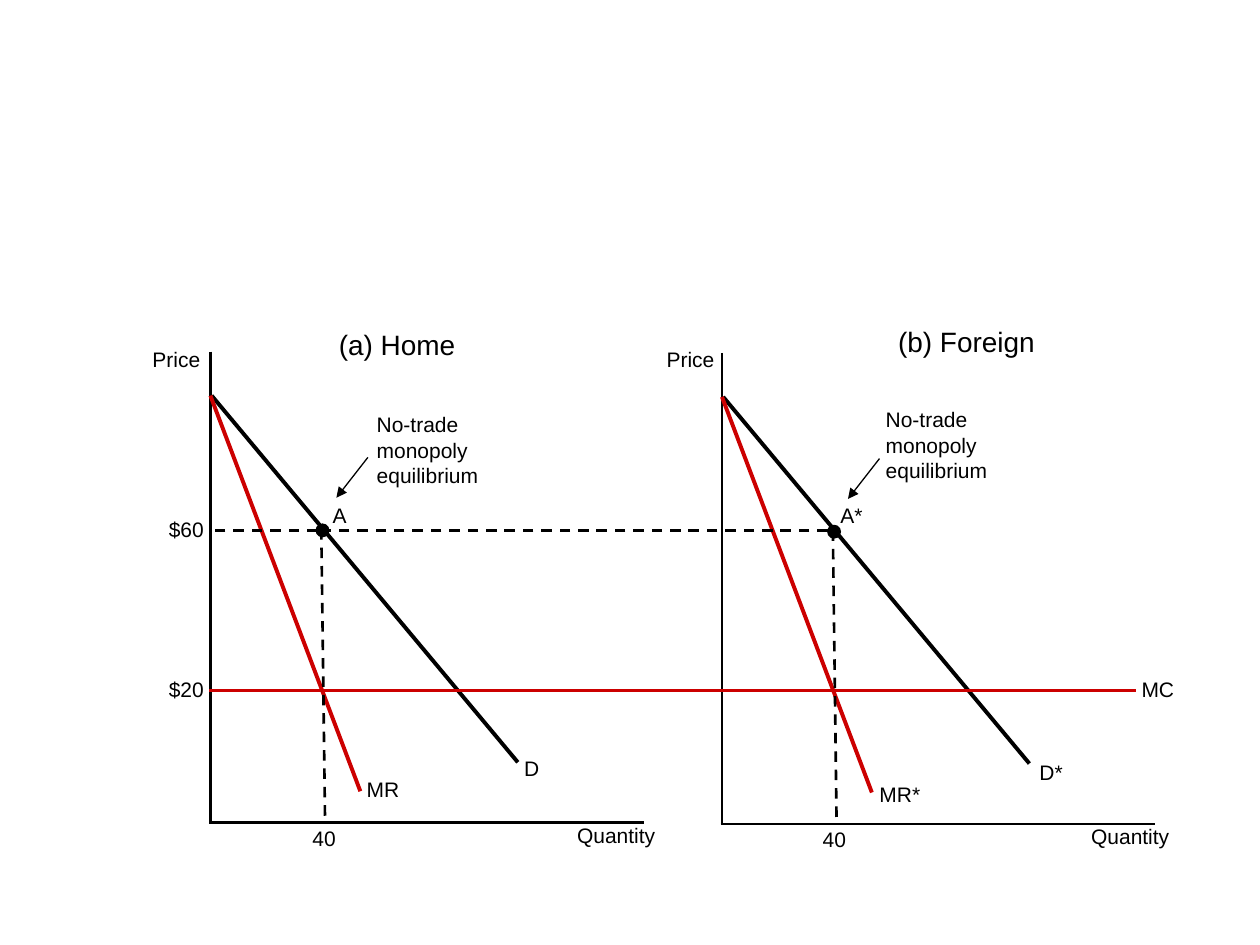
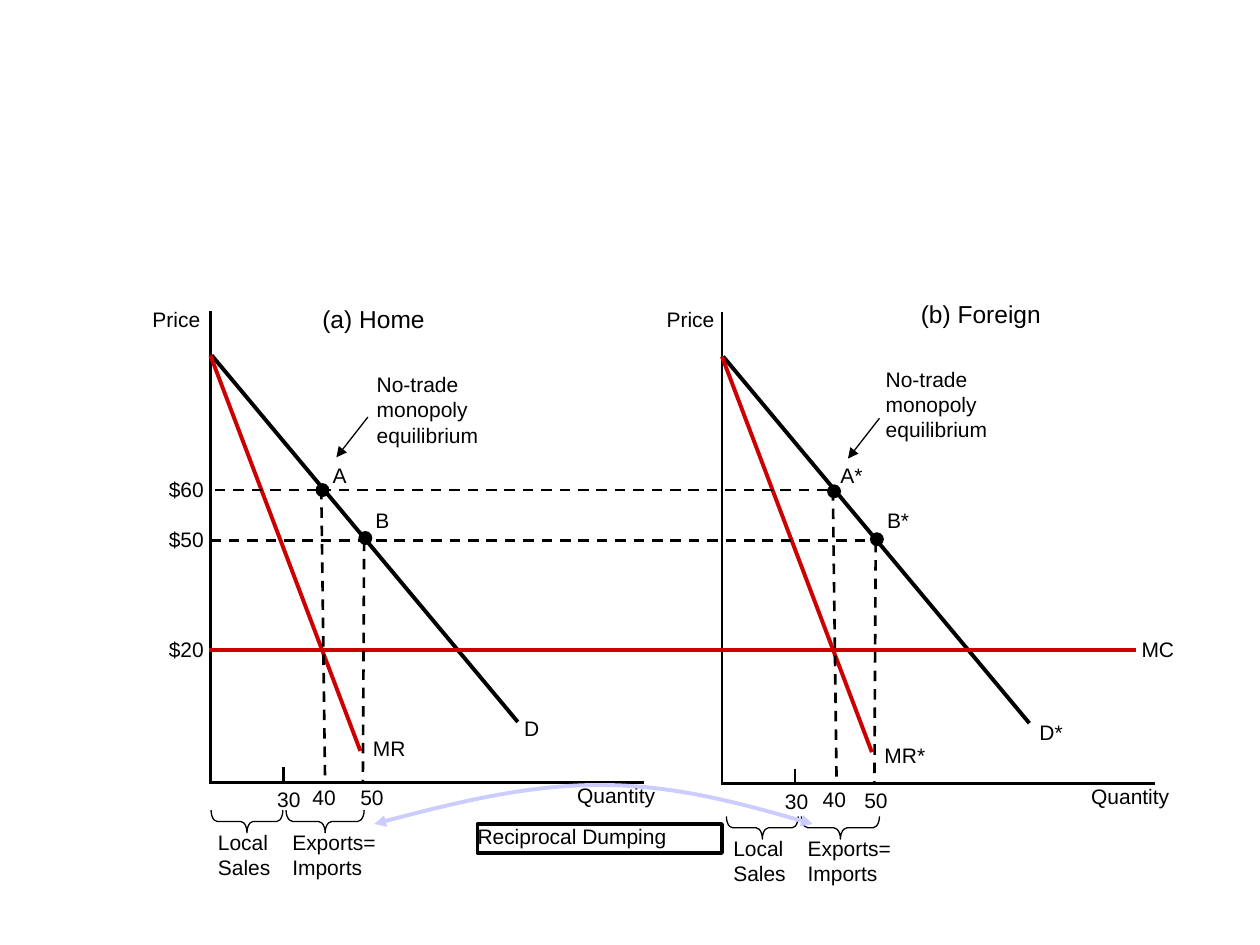
from lxml import etree
from pptx import Presentation, util as u
from pptx.dml.color import RGBColor
from pptx.enum import dml, shapes, text
from pptx.oxml.ns import qn

COLORS = {"ink": "000000", "cost": "CC0000", "link": "CCCCFF"}
FONT, LABEL_SIZE, LINE_HEIGHT = "Arial", 12, 0.2
THIN, AXIS, CURVE = 0.75, 1.5, 2.25
DOT = 0.1
AXIS_X = (1.67, 5.73)   # vertical axis of Home and Foreign
FOREIGN_DROP = 0.01     # Foreign's horizontal axis sits slightly lower

# Points are (right, down) in inches from the corner of a panel's axes.
CURVES = [
    # start, end, color, width
    ((0, -3.74), (0, 0), "ink", AXIS),
    ((-0.01, 0), (3.44, 0), "ink", AXIS),
    ((0.01, -3.39), (2.44, -0.48), "ink", CURVE),
    ((0, -3.39), (1.19, -0.25), "cost", CURVE),
]
# (wording, width, lines, Home place, Foreign wording, Foreign place)
LABELS = [
    ("Price", 0.49, 1, (-0.46, -3.78), "Price", (-0.44, -3.79)),
    ("Quantity", 0.75, 1, (2.91, 0), "Quantity", (2.93, 0)),
    ("D", 0.23, 1, (2.49, -0.53), "D*", (2.52, -0.51)),
    ("A", 0.2, 1, (0.97, -2.54), "A*", (0.94, -2.55)),
    ("40", 0.2, 1, (0.81, 0.02), "40", (0.8, 0.02)),
    ("No-trade monopoly equilibrium", 1.13, 3, (1.32, -3.26),
     "No-trade monopoly equilibrium", (1.3, -3.31)),
]
TRADE_LABELS = [
    ("30", 0.2, 1, (0.53, 0.03), "30", (0.5, 0.04)),
    ("50", 0.2, 1, (1.19, 0.02), "50", (1.13, 0.03)),
    ("B", 0.2, 1, (1.31, -2.18), "B*", (1.31, -2.19)),
]
POINT_A = {"dot": (0.89, -2.32), "drop": ((0.88, -2.33), (0.91, 0))}
POINT_B = {"dot": (1.23, -1.94), "drop": ((1.22, -1.92), (1.21, 0))}
POINTER = ((1.25, -2.9), (1, -2.58))
TICK_30 = ((0.58, -0.12), (0.58, -0.01))
# (caption, caption left, caption width, brace centre, brace span, bend)
BRACES = [
    ("Local Sales", 0.06, 0.5, (0.29, 0.31), 0.57, 0.27),
    ("Exports=Imports", 0.65, 0.67, (0.91, 0.31), 0.62, 0.29),
]
BRACE_DEPTH, CAPTION_TOP = 0.18, 0.37
FOREIGN_BRACE_SHIFT = (0.03, 0.04)

# (price, height from the axis, line stretches in slide coordinates)
PRICE_60 = ("$60", -2.32, [(2.52, 1.69), (6.57, 2.55)])
PRICE_50 = ("$50", -1.92, [(1.67, 6.95)])
MC_HEIGHT = -1.05

SLIDES = [
    {"base": 6.53, "title_size": 16, "trade": False,
     "titles": [("(a) Home", (0.92, -3.98)), ("(b) Foreign", (1.3, -4.01))],
     "mr": ("MR", 0.34, 1, (1.24, -0.37), "MR*", (1.25, -0.34))},
    {"base": 6.21, "title_size": 14, "trade": True,
     "titles": [("(a) Home", (0.79, -3.85)), ("(b) Foreign", (1.48, -3.9))],
     "mr": ("MR", 0.34, 1, (1.29, -0.37), "MR*", (1.29, -0.33))},
]
DUMPING = ("Reciprocal Dumping", 3.79, 6.54, 1.94, 0.23)
DUMPING_ARC = [(6.45, 6.54), (5.9, 6.38), (5.34, 6.23), (4.76, 6.23),
               (4.18, 6.23), (3.57, 6.38), (2.97, 6.54)]


def color(name):
    return RGBColor.from_string(COLORS[name])


def style_line(part, name, width, arrows=()):
    part.line.color.rgb = color(name)
    part.line.width = u.Pt(width)
    for end in arrows:
        etree.SubElement(part.line._get_or_add_ln(), qn(f"a:{end}"), type="triangle")


def draw_line(slide, start, end, name="ink", width=AXIS, dashed=False, arrows=()):
    line = slide.shapes.add_connector(
        shapes.MSO_CONNECTOR.STRAIGHT, *map(u.Inches, (*start, *end)))
    if dashed:
        line.line.dash_style = dml.MSO_LINE.DASH
    style_line(line, name, width, arrows)
    etree.SubElement(line._element.spPr, qn("a:effectLst"))


def draw_shape(slide, kind, left, top, width, height, line_width=THIN, filled=False):
    shape = slide.shapes.add_shape(kind, *map(u.Inches, (left, top, width, height)))
    shape.shadow.inherit = False
    if filled:
        shape.fill.solid()
        shape.fill.fore_color.rgb = color("ink")
    else:
        shape.fill.background()
    style_line(shape, "ink", line_width)
    return shape


def write(frame, wording, size=LABEL_SIZE, inset=False):
    frame.word_wrap = True
    frame.auto_size = text.MSO_AUTO_SIZE.SHAPE_TO_FIT_TEXT
    frame.vertical_anchor = text.MSO_ANCHOR.TOP
    if not inset:
        frame.margin_left = frame.margin_right = 0
        frame.margin_top = frame.margin_bottom = 0
    paragraph = frame.paragraphs[0]
    paragraph.text = wording
    paragraph.alignment = text.PP_ALIGN.LEFT
    paragraph.font.name, paragraph.font.size = FONT, u.Pt(size)
    paragraph.font.color.rgb = color("ink")


def draw_label(slide, wording, place, width, lines=1):
    box = slide.shapes.add_textbox(
        *map(u.Inches, (*place, width, lines * LINE_HEIGHT)))
    write(box.text_frame, wording)


def draw_title(slide, wording, place, size):
    box = slide.shapes.add_textbox(*map(u.Inches, (*place, 1.32, 0.1 + size / 60)))
    write(box.text_frame, wording, size, inset=True)


def panel_origins(base):
    return [(AXIS_X[0], base), (AXIS_X[1], base + FOREIGN_DROP)]


def shift(origin, offset):
    return origin[0] + offset[0], origin[1] + offset[1]


def draw_point(slide, origin, point):
    draw_line(slide, *(shift(origin, p) for p in point["drop"]), dashed=True)
    x, y = shift(origin, point["dot"])
    draw_shape(slide, shapes.MSO_SHAPE.OVAL, x - DOT / 2, y - DOT / 2, DOT, DOT,
               filled=True)


def draw_price(slide, base, price):
    wording, height, stretches = price
    y = base + height
    for start, end in stretches:
        draw_line(slide, (start, y), (end, y), dashed=True)
    draw_label(slide, wording, (1.34, y - 0.11), 0.36)


def draw_braces(slide, origin):
    for caption, left, width, centre, span, bend in BRACES:
        x, y = shift(origin, centre)
        brace = draw_shape(slide, shapes.MSO_SHAPE.RIGHT_BRACE,
                           x - BRACE_DEPTH / 2, y - span / 2, BRACE_DEPTH, span)
        brace.rotation = 90
        brace.adjustments[0] = bend
        draw_label(slide, caption, shift(origin, (left, CAPTION_TOP)), width, 2)


def draw_dumping(slide):
    """Link both export braces with a double-headed arc above the boxed term."""
    first, *rest = DUMPING_ARC
    builder = slide.shapes.build_freeform(*first, scale=u.Inches(1) / 1.0)
    scaled = [tuple(map(u.Inches, p)) for p in DUMPING_ARC]
    builder = slide.shapes.build_freeform(*scaled[0])
    builder.add_line_segments(scaled[1:], close=False)
    arc = builder.convert_to_shape()
    segments = list(arc._element.iter(qn("a:lnTo")))
    for i in range(0, len(segments), 3):
        bezier = etree.SubElement(segments[i].getparent(), qn("a:cubicBezTo"))
        for segment in segments[i:i + 3]:
            bezier.append(segment[0])
            segment.getparent().remove(segment)
    arc.fill.background()
    arc.shadow.inherit = False
    style_line(arc, "link", CURVE, ("headEnd", "tailEnd"))
    wording, *place = DUMPING
    box = draw_shape(slide, shapes.MSO_SHAPE.RECTANGLE, *place, line_width=CURVE)
    write(box.text_frame, wording)


def draw_panel(slide, plan, index, origin):
    for start, end, name, width in CURVES:
        draw_line(slide, shift(origin, start), shift(origin, end), name, width)
    title, place = plan["titles"][index]
    draw_title(slide, title, shift(origin, place), plan["title_size"])
    labels = LABELS + [plan["mr"]] + (TRADE_LABELS if plan["trade"] else [])
    for home, width, lines, home_place, foreign, foreign_place in labels:
        wording, place = [(home, home_place), (foreign, foreign_place)][index]
        draw_label(slide, wording, shift(origin, place), width, lines)
    draw_line(slide, *(shift(origin, p) for p in POINTER), width=THIN,
              arrows=("tailEnd",))


def draw_slide(prs, plan):
    slide = prs.slides.add_slide(prs.slide_layouts[6])
    base, origins = plan["base"], panel_origins(plan["base"])
    for index, origin in enumerate(origins):
        draw_panel(slide, plan, index, origin)
    cost_y = base + MC_HEIGHT
    draw_line(slide, (1.66, cost_y), (9.02, cost_y), "cost", CURVE)
    draw_label(slide, "$20", (1.34, cost_y - 0.11), 0.37)
    draw_label(slide, "MC", (9.06, cost_y - 0.11), 0.31)
    draw_price(slide, base, PRICE_60)
    if plan["trade"]:
        draw_price(slide, base, PRICE_50)
    for index, origin in enumerate(origins):
        draw_point(slide, origin, POINT_A)
        if plan["trade"]:
            draw_point(slide, origin, POINT_B)
            draw_line(slide, *(shift(origin, p) for p in TICK_30))
            draw_braces(slide, shift(origin, FOREIGN_BRACE_SHIFT) if index else origin)
    if plan["trade"]:
        draw_dumping(slide)


def main():
    prs = Presentation()
    prs.slide_width, prs.slide_height = u.Inches(10), u.Inches(7.5)
    for plan in SLIDES:
        draw_slide(prs, plan)
    prs.save("out.pptx")


if __name__ == "__main__":
    main()
